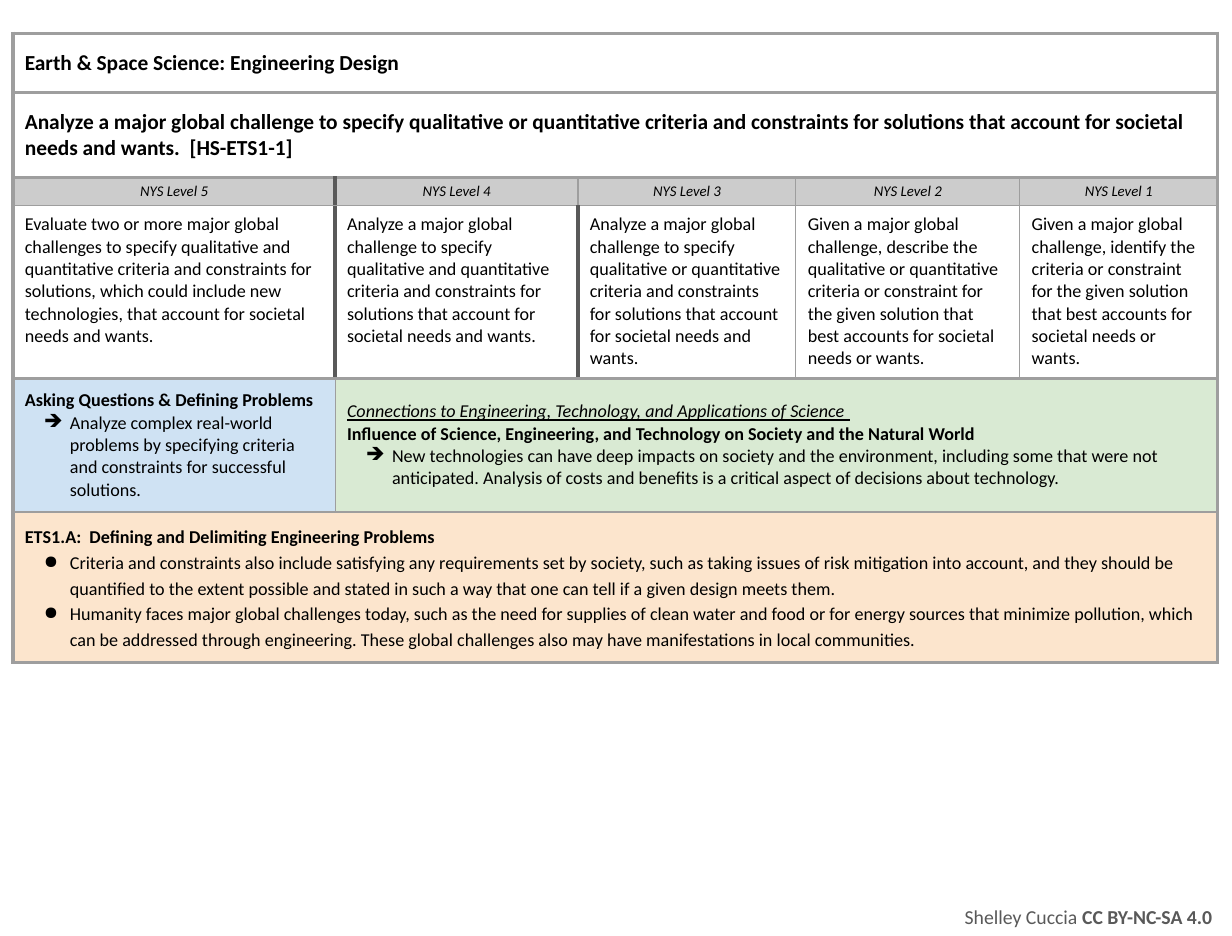
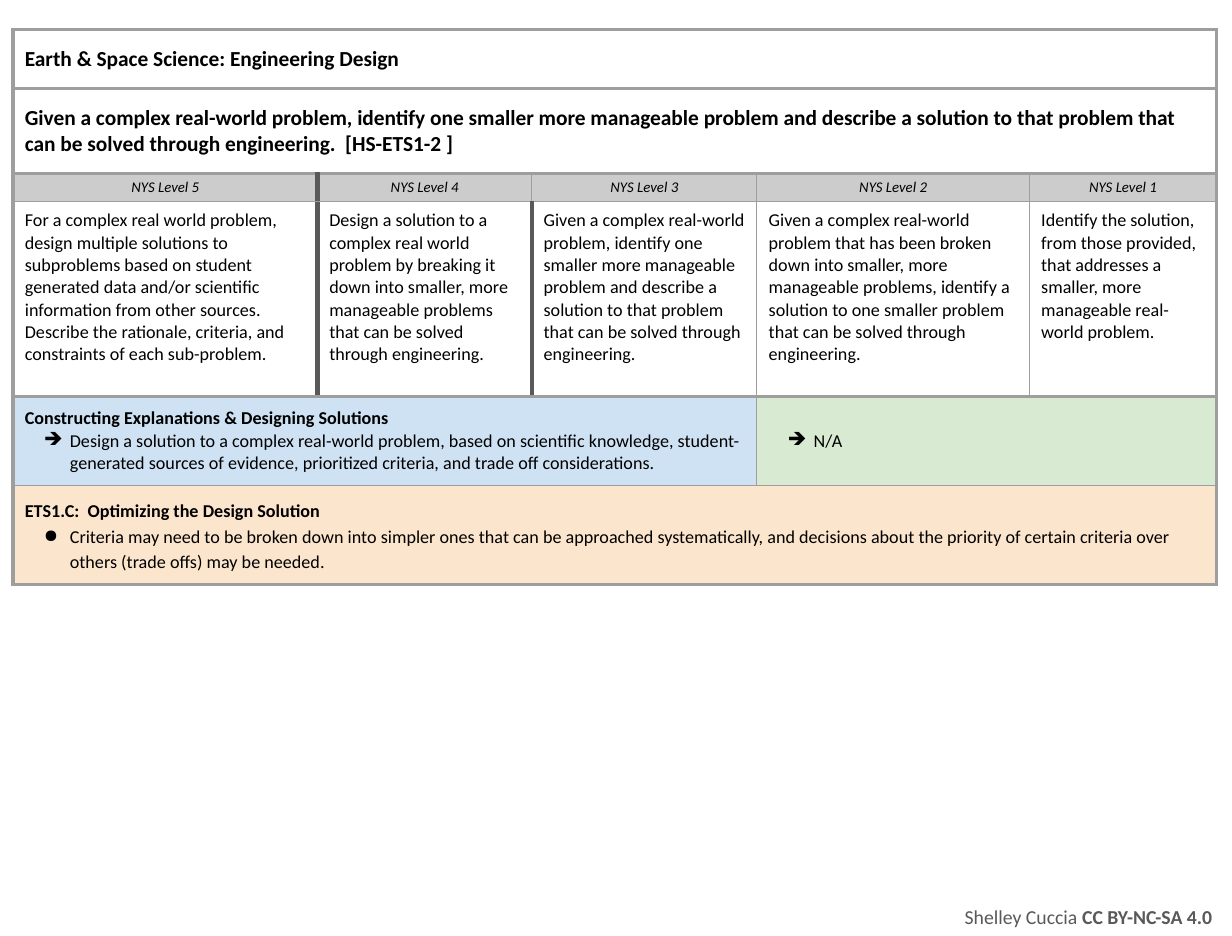
"""Build two engineering design rubric slides, each a bordered table with a licence line."""
from dataclasses import dataclass

from lxml import etree
from pptx import Presentation
from pptx.dml.color import RGBColor
from pptx.enum.text import MSO_ANCHOR, PP_ALIGN
from pptx.oxml.ns import qn
from pptx.slide import Slide
from pptx.table import Table, _Cell
from pptx.text.text import _Paragraph
from pptx.util import Inches, Pt

TOP, MIDDLE = MSO_ANCHOR.TOP, MSO_ANCHOR.MIDDLE
LEFT, CENTER, RIGHT = PP_ALIGN.LEFT, PP_ALIGN.CENTER, PP_ALIGN.RIGHT

COLORS = {
    "text": "000000",
    "footer": "595959",
    "line": "9E9E9E",
    "divider": "595959",
    "white": "FFFFFF",
    "level": "CCCCCC",
    "practice": "CFE2F3",
    "crosscut": "D9EAD3",
    "core": "FCE5CD",
}
FONT = "Calibri"
THIN, THICK, HEAVY = 0.75, 2.25, 3
ROW_LINES = (THICK, THICK, THICK, THIN, THICK, THIN, THICK)
DIVIDERS = {(2, 1), (3, 1), (3, 2)}
COLUMNS = 5
HEAD_HEIGHTS = (0.49, 0.72, 0.22)
SUBJECT = "Earth & Space Science: Engineering Design"


@dataclass(frozen=True)
class Para:
    text: str
    bold: bool = False
    italic: bool = False
    underline: bool = False
    bullet: str = ""


@dataclass(frozen=True)
class Style:
    fill: str
    pad: float
    size: float = 11
    anchor: MSO_ANCHOR = MIDDLE
    align: PP_ALIGN = LEFT
    spacing: float = 1.0


@dataclass(frozen=True)
class Rubric:
    top: float
    widths: tuple[float, ...]
    heights: tuple[float, ...]
    standard: str
    levels: tuple[str, ...]
    practice_span: int
    practice: tuple[Para, ...]
    crosscut: tuple[Para, ...]
    core: tuple[Para, ...]


HEADING = Style("white", 0.14, size=13)
LEVEL = Style("level", 0.04, size=9, align=CENTER)
STATEMENT = Style("white", 0.07, anchor=TOP)
PRACTICE = Style("practice", 0.09)
CROSSCUT = Style("crosscut", 0.09)
CORE = Style("core", 0.09, spacing=1.15)

RUBRICS = (
    Rubric(
        top=0.28,
        widths=(2.72, 2.05, 1.84, 1.89, 1.67),
        heights=(1.46, 1.13, 1.27),
        standard="Analyze a major global challenge to specify qualitative or quantitative criteria and "
                 "constraints for solutions that account for societal needs and wants.  [HS-ETS1-1]",
        levels=(
            "Evaluate two or more major global challenges to specify qualitative and quantitative criteria "
            "and constraints for solutions, which could include new technologies, that account for "
            "societal needs and wants.",
            "Analyze a major global challenge to specify qualitative and quantitative criteria and "
            "constraints for solutions that account for societal needs and wants.",
            "Analyze a major global challenge to specify qualitative or quantitative criteria and "
            "constraints for solutions that account for societal needs and wants.",
            "Given a major global challenge, describe the qualitative or quantitative criteria or "
            "constraint for the given solution that best accounts for societal needs or wants.",
            "Given a major global challenge, identify the criteria or constraint for the given solution "
            "that best accounts for societal needs or wants.",
        ),
        practice_span=1,
        practice=(
            Para("Asking Questions & Defining Problems", bold=True),
            Para("Analyze complex real-world problems by specifying criteria and constraints for "
                 "successful solutions.", bullet="➔"),
        ),
        crosscut=(
            Para("Connections to Engineering, Technology, and Applications of Science ",
                 italic=True, underline=True),
            Para("Influence of Science, Engineering, and Technology on Society and the Natural World",
                 bold=True),
            Para("New technologies can have deep impacts on society and the environment, including some "
                 "that were not anticipated. Analysis of costs and benefits is a critical aspect of "
                 "decisions about technology.", bullet="➔"),
        ),
        core=(
            Para("ETS1.A:  Defining and Delimiting Engineering Problems", bold=True),
            Para("Criteria and constraints also include satisfying any requirements set by society, such "
                 "as taking issues of risk mitigation into account, and they should be quantified to the "
                 "extent possible and stated in such a way that one can tell if a given design meets "
                 "them.", bullet="●"),
            Para("Humanity faces major global challenges today, such as the need for supplies of clean "
                 "water and food or for energy sources that minimize pollution, which can be addressed "
                 "through engineering. These global challenges also may have manifestations in local "
                 "communities.", bullet="●"),
        ),
    ),
    Rubric(
        top=0.25,
        widths=(2.57, 1.81, 1.9, 2.3, 1.58),
        heights=(1.65, 0.75, 0.84),
        standard="Given a complex real-world problem, identify one smaller more manageable problem and "
                 "describe a solution to that problem that can be solved through engineering.  "
                 "[HS-ETS1-2 ]",
        levels=(
            "For a complex real world problem, design multiple solutions to subproblems based on student "
            "generated data and/or scientific information from other sources.  Describe the rationale, "
            "criteria, and constraints of each sub-problem.",
            "Design a solution to a complex real world problem by breaking it down into smaller, more "
            "manageable problems that can be solved through engineering.",
            "Given a complex real-world problem, identify one smaller more manageable problem and "
            "describe a solution to that problem that can be solved through engineering.",
            "Given a complex real-world problem that has been broken down into smaller, more manageable "
            "problems, identify a solution to one smaller problem that can be solved through "
            "engineering.",
            "Identify the solution, from those provided, that addresses a smaller, more manageable "
            "real-world problem.",
        ),
        practice_span=3,
        practice=(
            Para("Constructing Explanations & Designing Solutions", bold=True),
            Para("Design a solution to a complex real-world problem, based on scientific knowledge, "
                 "student-generated sources of evidence, prioritized criteria, and trade off "
                 "considerations.", bullet="➔"),
        ),
        crosscut=(Para("N/A", bullet="➔"),),
        core=(
            Para("ETS1.C:  Optimizing the Design Solution", bold=True),
            Para("Criteria may need to be broken down into simpler ones that can be approached "
                 "systematically, and decisions about the priority of certain criteria over others "
                 "(trade offs) may be needed.", bullet="●"),
        ),
    ),
)


def add_run(p: _Paragraph, text: str, size: float, color: str, bold: bool = False,
            italic: bool = False, underline: bool = False) -> None:
    r = p.add_run()
    r.text = text
    r.font.name = FONT
    r.font.size = Pt(size)
    r.font.bold = bold
    r.font.italic = italic
    r.font.underline = underline
    r.font.color.rgb = RGBColor.from_string(COLORS[color])


def add_bullet(p: _Paragraph, char: str) -> None:
    pPr = p._p.get_or_add_pPr()
    pPr.set("marL", str(Inches(0.38)))
    pPr.set("indent", str(Inches(-0.22)))
    clr = etree.SubElement(pPr, qn("a:buClr"))
    etree.SubElement(clr, qn("a:srgbClr"), val=COLORS["text"])
    etree.SubElement(pPr, qn("a:buChar"), char=char)


def vertical_line(row: int, edge: int) -> tuple[str, float]:
    if (row, edge) in DIVIDERS:
        return "divider", HEAVY
    return "line", THICK if edge in (0, COLUMNS) else THIN


def set_borders(cell: _Cell, row: int, col: int, span: int) -> None:
    sides = {
        "L": vertical_line(row, col),
        "R": vertical_line(row, col + span),
        "T": ("line", ROW_LINES[row]),
        "B": ("line", ROW_LINES[row + 1]),
    }
    tcPr = cell._tc.get_or_add_tcPr()
    for i, (side, (color, width)) in enumerate(sides.items()):
        ln = etree.Element(qn(f"a:ln{side}"), w=str(Pt(width)))
        fill = etree.SubElement(ln, qn("a:solidFill"))
        etree.SubElement(fill, qn("a:srgbClr"), val=COLORS[color])
        tcPr.insert(i, ln)


def fill_cell(table: Table, row: int, col: int, style: Style, paras: tuple[Para, ...],
              span: int = 1) -> None:
    cell = table.cell(row, col)
    if span > 1:
        cell.merge(table.cell(row, col + span - 1))
    cell.fill.solid()
    cell.fill.fore_color.rgb = RGBColor.from_string(COLORS[style.fill])
    set_borders(cell, row, col, span)
    cell.margin_left = cell.margin_right = Inches(0.1)
    cell.margin_top = cell.margin_bottom = Inches(style.pad)
    cell.vertical_anchor = style.anchor
    tf = cell.text_frame
    for i, para in enumerate(paras):
        p = tf.add_paragraph() if i else tf.paragraphs[0]
        p.alignment = style.align
        p.line_spacing = style.spacing
        if para.bullet:
            add_bullet(p, para.bullet)
        add_run(p, para.text, style.size, "text", para.bold, para.italic, para.underline)


def add_rubric(s: Slide, rubric: Rubric) -> None:
    heights = HEAD_HEIGHTS + rubric.heights
    sp = s.shapes.add_table(len(heights), COLUMNS, Inches(0.11), Inches(rubric.top),
                            Inches(sum(rubric.widths)), Inches(sum(heights)))
    table = sp.table
    table.first_row = table.horz_banding = False
    for column, width in zip(table.columns, rubric.widths):
        column.width = Inches(width)
    for table_row, height in zip(table.rows, heights):
        table_row.height = Inches(height)

    for row, text in enumerate((SUBJECT, rubric.standard)):
        fill_cell(table, row, 0, HEADING, (Para(text, bold=True),), COLUMNS)
    for col, text in enumerate(rubric.levels):
        fill_cell(table, 2, col, LEVEL, (Para(f"NYS Level {COLUMNS - col}", italic=True),))
        fill_cell(table, 3, col, STATEMENT, (Para(text),))
    split = rubric.practice_span
    fill_cell(table, 4, 0, PRACTICE, rubric.practice, split)
    fill_cell(table, 4, split, CROSSCUT, rubric.crosscut, COLUMNS - split)
    fill_cell(table, 5, 0, CORE, rubric.core, COLUMNS)


def add_footer(s: Slide) -> None:
    sp = s.shapes.add_textbox(Inches(7.82), Inches(7.57), Inches(2.55), Inches(0.33))
    tf = sp.text_frame
    tf.word_wrap = True
    tf.vertical_anchor = MIDDLE
    tf.margin_left = tf.margin_right = tf.margin_top = tf.margin_bottom = Inches(0.1)
    p = tf.paragraphs[0]
    p.alignment = RIGHT
    add_run(p, "Shelley Cuccia ", 12, "footer")
    add_run(p, "CC BY-NC-SA 4.0 ", 12, "footer", bold=True)


def main() -> None:
    prs = Presentation()
    prs.slide_width, prs.slide_height = Inches(10.4), Inches(7.9)
    blank = prs.slide_layouts[6]
    for rubric in RUBRICS:
        s = prs.slides.add_slide(blank)
        add_rubric(s, rubric)
        add_footer(s)
    prs.save("out.pptx")


if __name__ == "__main__":
    main()
